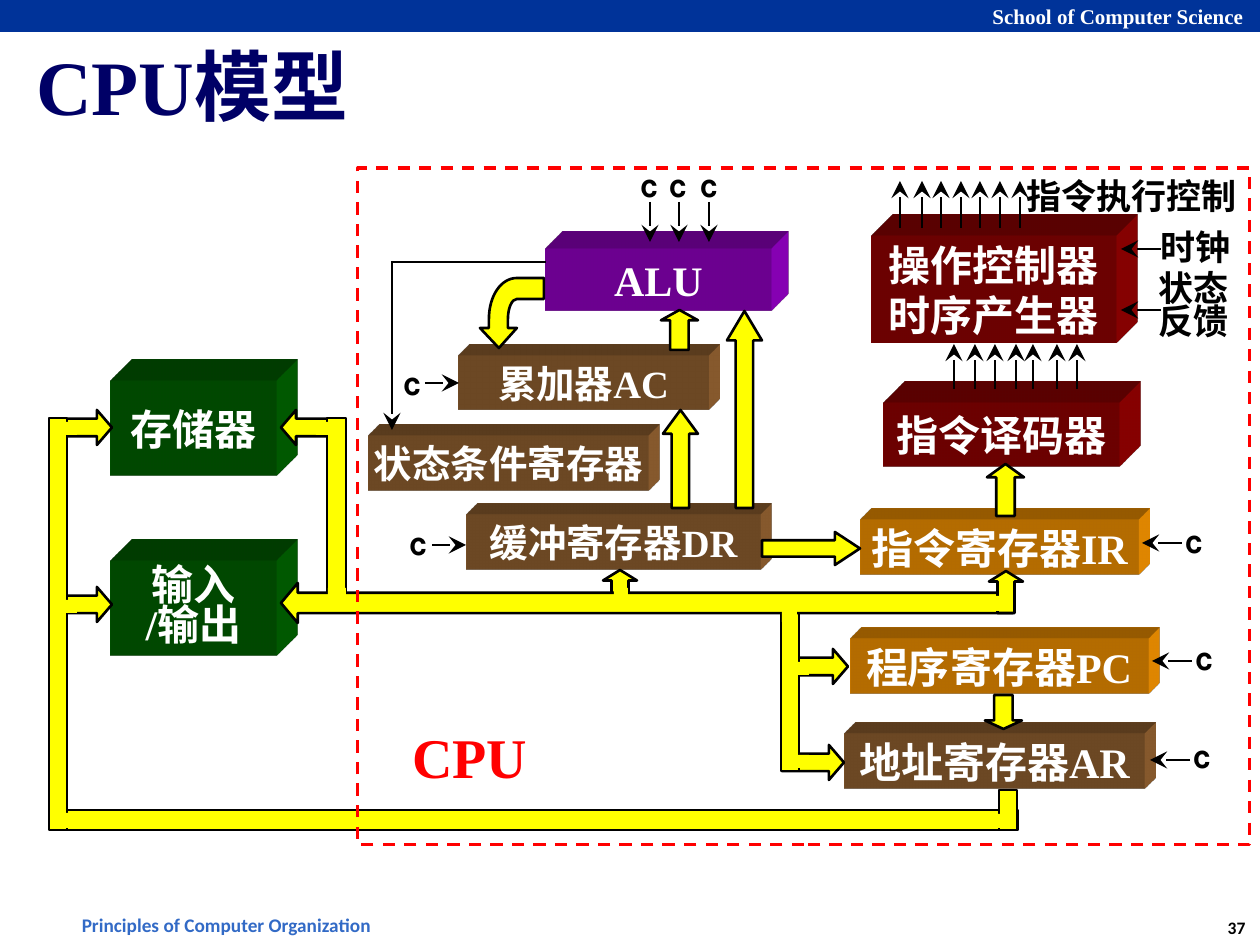
from lxml.etree import SubElement
from pptx import Presentation
from pptx.dml.color import RGBColor
from pptx.enum.dml import MSO_LINE
from pptx.enum.shapes import MSO_CONNECTOR, MSO_SHAPE
from pptx.enum.text import MSO_ANCHOR, PP_ALIGN
from pptx.oxml.ns import qn
from pptx.util import Pt

SCALE = 914400 / 126
SERIF, SANS, CHINESE, LETTER = "Times New Roman", "Calibri", "Noto Sans CJK SC", "Karla"
YELLOW, BLACK, WHITE, RED = "FFFF00", "000000", "FFFFFF", "FF0000"
color = RGBColor.from_string


def px(*lengths):
    """Turn pixel lengths into a list of EMU values."""
    return [round(length * SCALE) for length in lengths]


def write(shape, text, size, font_name, font_color, align=PP_ALIGN.CENTER, spacing=1.0, **frame_format):
    """Fill a shape with bold text, one paragraph for each line."""
    frame = shape.text_frame
    for name, value in {"word_wrap": False, **frame_format}.items():
        setattr(frame, name, value)
    frame.text = text
    for paragraph in frame.paragraphs:
        paragraph.alignment = align
        paragraph.line_spacing = spacing
        font = paragraph.runs[0].font
        for name, value in {"name": font_name, "size": Pt(size), "bold": True}.items():
            setattr(font, name, value)
        font.color.rgb = color(font_color)


presentation = Presentation()
presentation.slide_width, presentation.slide_height = px(1260, 945)
slide = presentation.slides.add_slide(presentation.slide_layouts[5])
shapes = slide.shapes

title = shapes.title
title.left, title.top, title.width, title.height = px(31, 32, 1226, 105)
inset = px(5)[0]
write(title, "CPU模型", 44, SERIF, "000066", PP_ALIGN.LEFT, word_wrap=True,
      vertical_anchor=MSO_ANCHOR.MIDDLE, margin_left=inset, margin_right=inset,
      margin_top=inset, margin_bottom=inset)

# Extruded blocks: text, left, top, width, height, visible depth, text size, colour
GREEN, PURPLE, MAROON, BROWN, ORANGE = "006600", "9900CC", "990000", "996633", "FF9900"
blocks = [
    ("输入\n/输出", 111, 561, 165, 95, 21, 24, GREEN),
    ("ALU", 546, 249, 225, 62, 17, 24, PURPLE),
    ("操作控制器\n时序产生器", 872, 236, 244, 107, 21, 24, MAROON),
    ("累加器AC", 459, 356, 249, 54, 11, 22, BROWN),
    ("存储器", 111, 381, 165, 95, 21, 24, GREEN),
    ("状态条件寄存器", 369, 436, 279, 55, 11, 22, BROWN),
    ("缓冲寄存器DR", 467, 515, 293, 55, 11, 22, BROWN),
    ("指令寄存器IR", 861, 520, 277, 55, 11, 24, ORANGE),
    ("程序寄存器PC", 850, 639, 298, 55, 11, 24, ORANGE),
    ("地址寄存器AR", 845, 734, 299, 55, 11, 24, BROWN),
    ("指令译码器", 884, 403, 235, 64, 21, 24, MAROON),
]
fronts = {}
for text, left, top, width, height, depth, size, block_color in blocks:
    block = shapes.add_shape(MSO_SHAPE.RECTANGLE, *px(left, top, width, height))
    block.shadow.inherit = False
    block.fill.solid()
    block.fill.fore_color.rgb = color(block_color)
    block.line.fill.background()
    properties = block._element.spPr
    scene = SubElement(properties, qn("a:scene3d"))
    SubElement(scene, qn("a:camera"), prst="legacyObliqueTopRight")
    SubElement(scene, qn("a:lightRig"), rig="legacyFlat3", dir="b")
    # The oblique view shows about 0.35 of the extrusion depth
    solid = SubElement(properties, qn("a:sp3d"), extrusionH=str(px(depth / 0.35)[0]),
                       prstMaterial="legacyMatrix")
    for bevel in ("a:bevelT", "a:bevelB"):
        SubElement(solid, qn(bevel), w="13500", h="13500", prst="angle")
    extrusion_color = SubElement(solid, qn("a:extrusionClr"))
    SubElement(extrusion_color, qn("a:srgbClr"), val=block_color)
    write(block, text, size, SERIF, WHITE, spacing=0.8 if "/" in text else 1.0,
          vertical_anchor=MSO_ANCHOR.MIDDLE,
          margin_left=0, margin_right=0, margin_top=0, margin_bottom=0)
    fronts[text] = block

# Buses: shape, left, top, width, height, arrow adjustments
RECTANGLE, RIGHT, LEFT = MSO_SHAPE.RECTANGLE, MSO_SHAPE.RIGHT_ARROW, MSO_SHAPE.LEFT_ARROW
UP, DOWN = MSO_SHAPE.UP_ARROW, MSO_SHAPE.DOWN_ARROW
buses = [
    (RIGHT, 782, 745, 62, 35, 0.5, 0.43),
    (RIGHT, 786, 649, 62, 35, 0.5, 0.43),
    (RECTANGLE, 781, 593, 18, 178),
    (UP, 603, 570, 34, 42, 0.5, 0.31),
    (DOWN, 985, 695, 37, 34, 0.5, 0.25),
    (RECTANGLE, 50, 810, 968, 20),
    (RIGHT, 50, 410, 62, 35, 0.5, 0.43),
    (RIGHT, 50, 587, 62, 35, 0.5, 0.43),
    (RECTANGLE, 49, 418, 18, 412),
    (RECTANGLE, 999, 790, 18, 40),
    (LEFT, 281, 410, 62, 35, 0.5, 0.43),
    (LEFT, 281, 583, 732, 40, 0.51, 0.42),
    (RECTANGLE, 327, 418, 19, 175),
    (UP, 663, 410, 35, 98, 0.5, 0.68),
    (UP, 727, 311, 35, 197, 0.5, 0.84),
    (UP, 987, 464, 37, 52, 0.5, 0.36),
    (UP, 989, 571, 34, 42, 0.5, 0.31),
    (RIGHT, 762, 532, 98, 33, 0.5, 0.76),
    (UP, 661, 310, 37, 40, 0.5, 0.28),
]
# Joints hide the outlines where two buses meet
joints = [
    (57, 600, 20, 13), (57, 422, 20, 13), (53, 805, 13, 14), (994, 814, 13, 14),
    (328, 588, 18, 13), (316, 422, 20, 13), (614, 588, 14, 13), (992, 596, 14, 15),
    (55, 813, 18, 15), (789, 662, 20, 13), (789, 755, 20, 13), (782, 609, 15, 13),
]
plain_shapes = [(*bus[:5], YELLOW, BLACK, bus[5:]) for bus in buses]
plain_shapes += [(RECTANGLE, *joint, YELLOW, None, ()) for joint in joints]
plain_shapes += [
    (RECTANGLE, 0, 0, 1261, 32, "003399", None, ()),
    (RECTANGLE, 358, 168, 892, 677, None, RED, ()),
]
for kind, left, top, width, height, fill_color, line_color, adjustments in plain_shapes:
    shape = shapes.add_shape(kind, *px(left, top, width, height))
    shape.shadow.inherit = False
    for index, value in enumerate(adjustments):
        shape.adjustments[index] = value
    if fill_color:
        shape.fill.solid()
        shape.fill.fore_color.rgb = color(fill_color)
    else:
        shape.fill.background()
    if line_color:
        shape.line.color.rgb = color(line_color)
        shape.line.width = Pt(1.75 if line_color == RED else 1.5)
    else:
        shape.line.fill.background()
    if line_color == RED:
        shape.line.dash_style = MSO_LINE.DASH

# Bent arrow from the ALU to the accumulator
builder = shapes.build_freeform(499, 348, scale=SCALE)
builder.add_line_segments([
    (480, 328), (489, 328), (489, 319),
    (489, 296), (501, 278), (517, 278),
    (544, 278), (544, 299), (517, 299),
    (512, 299), (508, 308), (508, 319),
    (508, 328), (517, 328)])
bent_arrow = builder.convert_to_shape()
segments = list(bent_arrow._element.iter(qn("a:lnTo")))
for first in (3, 9):  # each bend takes two control points and an end point
    curve = segments[first]
    curve.tag = qn("a:cubicBezTo")
    for segment in segments[first + 1:first + 3]:
        curve.append(segment[0])
        segment.getparent().remove(segment)
bent_arrow.shadow.inherit = False
bent_arrow.fill.solid()
bent_arrow.fill.fore_color.rgb = color(YELLOW)
bent_arrow.line.color.rgb = color(BLACK)
bent_arrow.line.width = Pt(1.5)

# Control signals: from x, y to x, y
signals = [(x, 389, x, 344) for x in (954, 975, 995, 1016, 1033, 1057, 1077)]
signals += [(x, 228, x, 181) for x in (900, 922, 941, 961, 980, 1000, 1020)]
signals += [(x, 202, x, 242) for x in (650, 679, 709)]
signals += [(x + 40, y, x, y) for x, y in
            ((1121, 249), (1121, 310), (1142, 543), (1152, 661), (1150, 760))]
signals += [(432, 545, 466, 545), (425, 383, 459, 383), (392, 261, 392, 430)]
status_line = (391, 262, 546, 262)
for ends in [*signals, status_line]:
    connector = shapes.add_connector(MSO_CONNECTOR.STRAIGHT, *px(*ends))
    connector.line.color.rgb = color(BLACK)
    connector.line.width = Pt(1.5)
    if ends != status_line:
        SubElement(connector.line._get_or_add_ln(), qn("a:tailEnd"),
                   type="stealth", w="lg", len="lg")
    SubElement(connector._element.spPr, qn("a:effectLst"))
    if ends[2:] == (459, 383):
        connector.end_connect(fronts["累加器AC"], 1)

# Labels: text, left, top, width, height, size, font, colour
labels = [
    ("37", 1213, 911, 47, 34, 10, SANS, BLACK),
    ("School of Computer Science", 979, -3, 278, 38, 12, SERIF, WHITE),
    ("Principles of Computer Organization", 69, 907, 315, 37, 11, SANS, "326AC6"),
    ("时钟", 1147, 219, 97, 55, 20, CHINESE, BLACK),
    ("状态\n反馈", 1145, 268, 97, 81, 20, CHINESE, BLACK),
    ("指令执行控制", 1013, 168, 237, 54, 20, CHINESE, BLACK),
    ("CPU", 400, 716, 140, 79, 32, SERIF, RED),
]
labels += [("c", left, top, 44, 54, 20, LETTER, BLACK) for left, top in (
    (1172, 512), (1182, 629), (1180, 727), (396, 514), (390, 354),
    (627, 156), (656, 156), (687, 156))]
for text, left, top, width, height, size, font_name, font_color in labels:
    label = shapes.add_textbox(*px(left, top, width, height))
    write(label, text, size, font_name, font_color, spacing=0.8 if "\n" in text else 1.0)

presentation.save("out.pptx")
